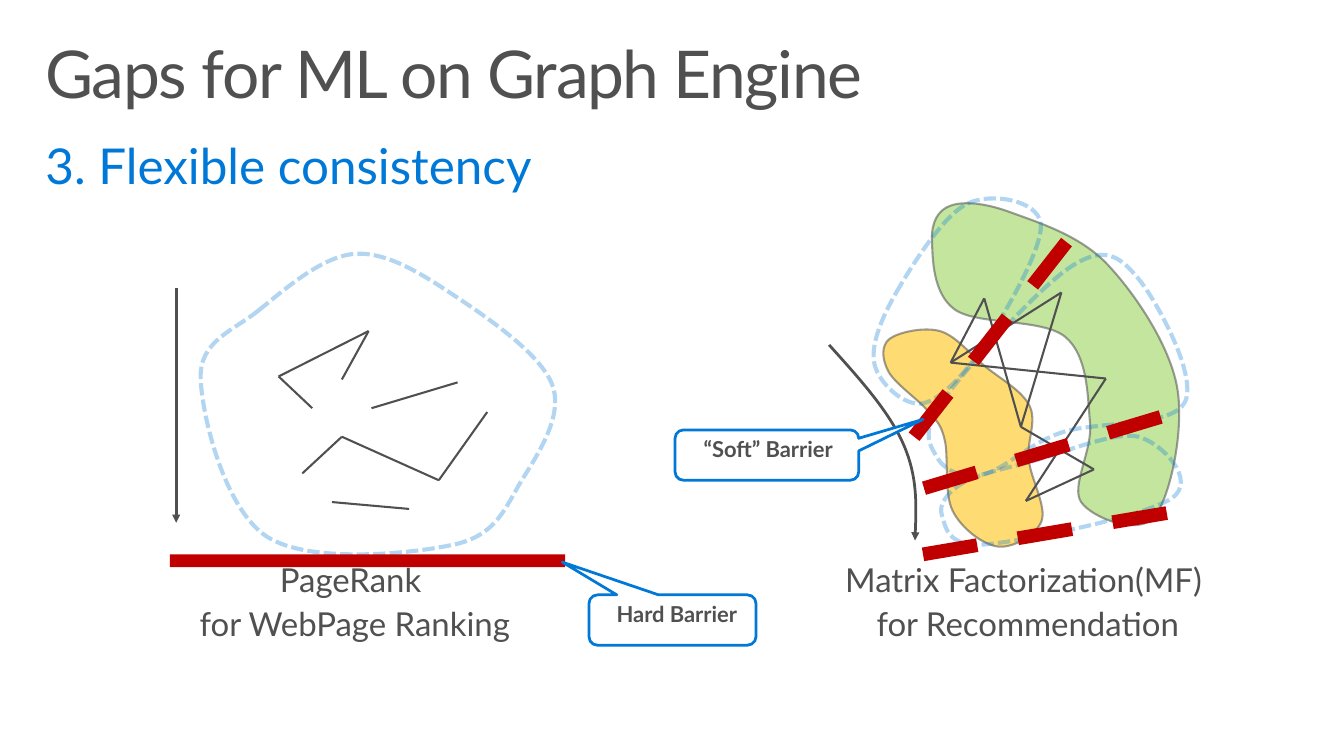
from dataclasses import dataclass
from itertools import pairwise
from typing import Optional

from pptx import Presentation
from pptx.dml.color import RGBColor
from pptx.enum.dml import MSO_LINE_DASH_STYLE as Dash
from pptx.enum.shapes import MSO_CONNECTOR as Connector, MSO_SHAPE as Shape
from pptx.enum.text import MSO_ANCHOR as Anchor, MSO_AUTO_SIZE as AutoSize, PP_ALIGN as Align
from pptx.oxml.ns import qn
from pptx.util import Pt

Point = tuple[float, float]


@dataclass(frozen=True)
class Theme:
    font: str = "Lato"
    ink: str = "505050"
    accent: str = "0078D7"
    barrier: str = "C00000"
    items: str = "92D050"
    users: str = "FFC000"
    paper: str = "FFFFFF"
    title_size: float = 48
    subtitle_size: float = 36
    caption_size: float = 24
    label_size: float = 16


@dataclass(frozen=True)
class Stroke:
    color: str
    width: float
    dash: Optional[Dash] = None
    arrow: bool = False


@dataclass(frozen=True)
class Frame:
    left: float
    top: float
    width: float
    height: float


@dataclass(frozen=True)
class Curve:
    knots: list[Point]
    stroke: Stroke
    fill: Optional[str] = None
    opacity: int = 100
    closed: bool = True


@dataclass(frozen=True)
class Callout:
    text: str
    bubble: Frame
    label: Frame
    pointer: Point


THEME = Theme()
EDGE = Stroke(THEME.ink, 1.5)
FLOW = Stroke(THEME.ink, 2, arrow=True)
REGION = Stroke(THEME.accent, 3, Dash.SQUARE_DOT)
SOFT = Stroke(THEME.barrier, 10, Dash.DASH)
BUBBLE = Stroke(THEME.accent, 2)

# Closed areas, given by the points their smooth outlines pass through
AREAS = [
    Curve([(188.6, 226.1), (258.5, 185), (331.9, 216), (402.5, 280.8), (380.2, 349.9),
           (331.2, 396.7), (194.4, 391), (146.2, 275.8)], REGION, opacity=30),
    Curve([(648, 247), (684.7, 241.2), (717.1, 266.4), (750.2, 295.9), (749.5, 334.8),
           (758.9, 379.4), (727.2, 398.2), (694.1, 372.2), (688.3, 320.4), (676.1, 299.5),
           (647.3, 270.7)], EDGE, THEME.users, 55),
    Curve([(692.6, 149.8), (736.6, 154.8), (806.4, 192.2), (857.5, 281.5), (841, 376.6),
           (787.7, 365.8), (794.2, 308.2), (776.2, 245.5), (695.5, 225.4), (679, 175)],
          EDGE, THEME.items, 55),
]
FLOW_CURVE = Curve([(604.1, 251.3), (658.1, 323.3), (666.7, 393.8)], FLOW, closed=False)
SOFT_REGIONS = [
    Curve([(653, 213.1), (704.9, 148.3), (758.2, 162.7), (718.6, 249.1), (672.5, 293.8),
           (637.2, 265.7)], REGION, opacity=30),
    Curve([(686.2, 293), (781.2, 193.7), (829.4, 203), (863.3, 293), (772.6, 315.4),
           (716.4, 345.6), (683.3, 334.1)], REGION, opacity=30),
    Curve([(751.7, 336.2), (829.4, 318.2), (853.9, 362.9), (717.1, 396.7), (686.2, 375.1),
           (701.3, 352.1)], REGION, opacity=30),
]
# Graph edges as chains of vertices
EDGE_CHAINS = [
    [(227.5, 297.4), (203, 274.3), (268.6, 241.2), (249.1, 276.5)],
    [(333.4, 278.6), (270.7, 297.4)],
    [(355, 300.2), (319.7, 349.9), (249.1, 318.2), (220.3, 344.9)],
    [(298.1, 370.8), (241.9, 365.8)],
    [(692.6, 264.2), (805.7, 275.8), (747.4, 365), (797, 342), (743.8, 311),
     (773.3, 213.1), (692.6, 264.2), (717.1, 217.4), (743.8, 311)],
]
SOFT_BARRIERS = [((672.5, 403.9), (871.9, 370.1)), ((673.2, 355.7), (866.9, 297.4)),
                 ((666, 318.2), (790.6, 159.1))]
CAPTIONS = [
    (["PageRank ", "for WebPage Ranking"], Frame(128.2, 399.6, 260.6, 81.4)),
    (["Matrix Factorization(MF) ", "for Recommendation"], Frame(601.2, 399.6, 295.2, 81.4)),
]
HARD_CALLOUT = Callout("Hard Barrier", Frame(429.1, 433.4, 121.7, 36.7),
                       Frame(429.8, 431.3, 126.7, 41), (-0.66, -1.15))
SOFT_CALLOUT = Callout("“Soft” Barrier", Frame(491.8, 313.2, 133.9, 36.7),
                       Frame(492.5, 311, 134.6, 41), (0.85, -0.71))


def rgb(color: str) -> RGBColor:
    return RGBColor.from_string(color)


def in_points(frame: Frame) -> list[Pt]:
    return [Pt(v) for v in (frame.left, frame.top, frame.width, frame.height)]


def apply_stroke(item, stroke: Stroke) -> None:
    item.line.color.rgb = rgb(stroke.color)
    item.line.width = Pt(stroke.width)
    if stroke.dash is not None:
        item.line.dash_style = stroke.dash
    if stroke.arrow:
        outline = item.line._get_or_add_ln()
        outline.append(outline.makeelement(qn("a:tailEnd"), {"type": "triangle"}))


def apply_fill(shape, color: Optional[str]) -> None:
    shape.shadow.inherit = False
    if color is None:
        shape.fill.background()
    else:
        shape.fill.solid()
        shape.fill.fore_color.rgb = rgb(color)


def guide_points(knots: list[Point], closed: bool) -> list[Point]:
    """Add the neighbours that a smooth curve needs beyond its ends."""
    def beyond(end: Point, near: Point, far: Point) -> Point:
        x, y = (2.5 * e - 2 * n + 0.5 * f for e, n, f in zip(end, near, far))
        return x, y

    if closed:
        return [knots[-1], *knots, *knots[:2]]
    return [beyond(*knots[:3]), *knots, beyond(*knots[:-4:-1])]


def bend(shape, guide: list[Point]) -> None:
    """Turn each straight segment into a cubic one, tangent to its neighbours."""
    segments = list(shape.element.iter(qn("a:lnTo")))
    for segment, a, b, c, d in zip(segments, guide, guide[1:], guide[2:], guide[3:]):
        first = [q + (r - p) / 6 for p, q, r in zip(a, b, c)]
        second = [r - (s - q) / 6 for q, r, s in zip(b, c, d)]
        cubic = segment.makeelement(qn("a:cubicBezTo"), {})
        for x, y in (first, second, c):
            place = {"x": str(Pt(x) - shape.left), "y": str(Pt(y) - shape.top)}
            cubic.append(cubic.makeelement(qn("a:pt"), place))
        segment.getparent().replace(segment, cubic)


def draw_curve(page, curve: Curve) -> None:
    guide = guide_points(curve.knots, curve.closed)
    start, *rest = [(Pt(x), Pt(y)) for x, y in guide[1:-1]]
    builder = page.shapes.build_freeform(*start)
    builder.add_line_segments(rest, close=curve.closed)
    shape = builder.convert_to_shape()
    bend(shape, guide)
    apply_fill(shape, curve.fill)
    apply_stroke(shape, curve.stroke)
    if curve.opacity < 100:
        for color in shape.element.spPr.iter(qn("a:srgbClr")):
            color.append(color.makeelement(qn("a:alpha"), {"val": str(curve.opacity * 1000)}))


def draw_line(page, start: Point, end: Point, stroke: Stroke) -> None:
    ends = [Pt(v) for v in (*start, *end)]
    line = page.shapes.add_connector(Connector.STRAIGHT, *ends)
    apply_stroke(line, stroke)
    properties = line.element.spPr
    properties.append(properties.makeelement(qn("a:effectLst"), {}))


def write(box, lines: list[str], size: float, color: str = THEME.ink, bold: bool = False,
          align: Align = Align.CENTER, margins: Point = (14.4, 11.5), after: float = 6,
          wrap: bool = True, grow: bool = True, tracking: float = 0) -> None:
    frame = box.text_frame
    frame.auto_size = AutoSize.SHAPE_TO_FIT_TEXT if grow else AutoSize.NONE
    frame.word_wrap = wrap
    frame.vertical_anchor = Anchor.TOP
    frame.margin_left = frame.margin_right = Pt(margins[0])
    frame.margin_top = frame.margin_bottom = Pt(margins[1])
    for index, line in enumerate(lines):
        para = frame.add_paragraph() if index else frame.paragraphs[0]
        properties = para._p.get_or_add_pPr()
        properties.set("marL", "0")
        properties.set("indent", "0")
        properties.append(properties.makeelement(qn("a:buNone"), {}))
        para.alignment, para.line_spacing = align, 0.9
        para.space_before, para.space_after = Pt(0), Pt(after)
        span = para.add_run()
        span.text = line
        span.font.name, span.font.size, span.font.bold = THEME.font, Pt(size), bold
        span.font.color.rgb = rgb(color)
        if tracking:
            span._r.get_or_add_rPr().set("spc", str(round(tracking * 100)))


def draw_callout(page, callout: Callout) -> None:
    bubble = page.shapes.add_shape(Shape.ROUNDED_RECTANGULAR_CALLOUT, *in_points(callout.bubble))
    for index, value in enumerate((*callout.pointer, 0.17)):
        bubble.adjustments[index] = value
    apply_fill(bubble, THEME.paper)
    apply_stroke(bubble, BUBBLE)
    label = page.shapes.add_textbox(*in_points(callout.label))
    write(label, [callout.text], THEME.label_size, bold=True)


def main() -> None:
    deck = Presentation()
    deck.slide_width, deck.slide_height = Pt(979.2), Pt(550.8)
    page = deck.slides.add_slide(deck.slide_layouts[1])

    # Headings
    title, subtitle = page.shapes.title, page.placeholders[1]
    for box, frame in ((title, Frame(21.6, 23, 936, 72)), (subtitle, Frame(21.6, 95.8, 936, 54))):
        box.left, box.top, box.width, box.height = in_points(frame)
    heading = dict(align=Align.LEFT, margins=(11.5, 7.2), after=0)
    write(title, ["Gaps for ML on Graph Engine"], THEME.title_size, grow=False, tracking=-1,
          **heading)
    write(subtitle, ["3. Flexible consistency"], THEME.subtitle_size, THEME.accent, **heading)

    # Graphs
    for area in AREAS:
        draw_curve(page, area)
    for chain in EDGE_CHAINS:
        for start, end in pairwise(chain):
            draw_line(page, start, end, EDGE)
    for lines, frame in CAPTIONS:
        caption = page.shapes.add_textbox(*in_points(frame))
        write(caption, lines, THEME.caption_size, wrap=False)

    # Flow arrows and soft regions
    draw_line(page, (128.4, 209.5), (128.4, 380.9), FLOW)
    for curve in (FLOW_CURVE, *SOFT_REGIONS):
        draw_curve(page, curve)

    # Barriers and their callouts
    bar = page.shapes.add_shape(Shape.RECTANGLE, *in_points(Frame(123.8, 403.9, 288, 9.4)))
    apply_fill(bar, THEME.barrier)
    bar.line.fill.background()
    draw_callout(page, HARD_CALLOUT)
    for start, end in SOFT_BARRIERS:
        draw_line(page, start, end, SOFT)
    draw_callout(page, SOFT_CALLOUT)

    deck.save("out.pptx")


if __name__ == "__main__":
    main()
